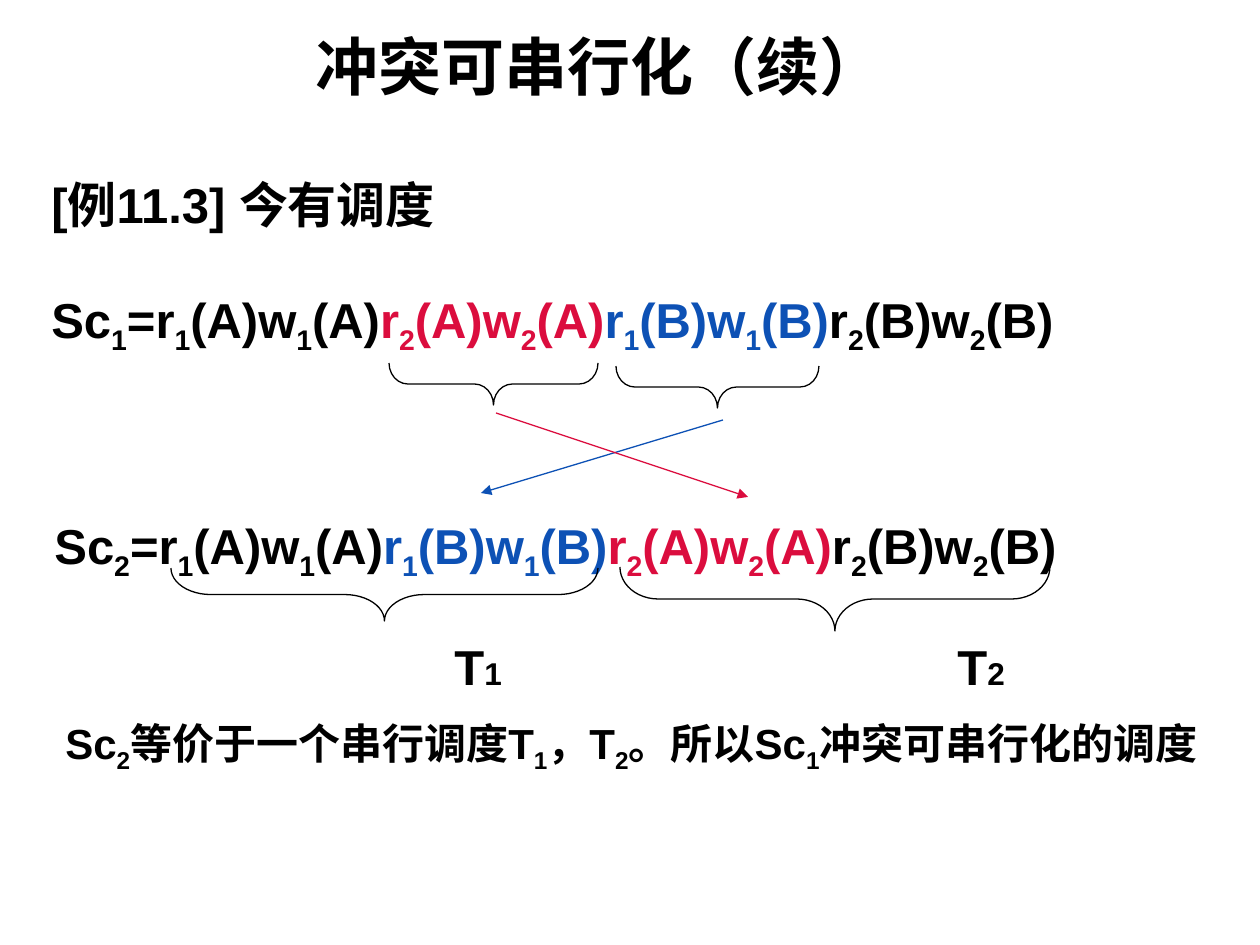
from lxml.etree import SubElement
from pptx import Presentation
from pptx.dml.color import RGBColor
from pptx.enum.shapes import MSO_CONNECTOR, MSO_SHAPE
from pptx.enum.text import MSO_ANCHOR, MSO_AUTO_SIZE, PP_ALIGN
from pptx.oxml.ns import qn
from pptx.util import Emu, Pt

STRAIGHT = MSO_CONNECTOR.STRAIGHT
BRACE = MSO_SHAPE.LEFT_BRACE
MIDDLE = MSO_ANCHOR.MIDDLE
FIXED = MSO_AUTO_SIZE.NONE
CENTER = PP_ALIGN.CENTER

COLORS = {"black": "000000", "red": "DB0D3E", "blue": "0D51B5"}
FONT = "Arial"
HANG = 48
HEAD = [("=r_1(A)w_1(A)", "black")]
RED = [("r_2(A)w_2(A)", "red")]
BLUE = [("r_1(B)w_1(B)", "blue")]
TAIL = [("r_2(B)w_2(B)", "black")]


def px(count):
    """Turn pixels into EMU."""
    return Emu(round(count * 914400 / 126))


def color(name):
    """Look up a named colour."""
    return RGBColor.from_string(COLORS[name])


def add_run(para, text, size, tint="black", sub=False):
    """Add one bold run, lowered if it is a subscript."""
    run = para.add_run()
    run.text = text
    font = run.font
    font.name, font.size, font.bold = FONT, Pt(size), True
    font.color.rgb = color(tint)
    if sub:
        run._r.get_or_add_rPr().set("baseline", "-25000")


def add_terms(para, terms, size):
    """Add coloured terms in which an underscore lowers the next character."""
    for text, tint in terms:
        first, *rest = text.split("_")
        add_run(para, first, size, tint)
        for part in rest:
            add_run(para, part[0], size, tint, True)
            if part[1:]:
                add_run(para, part[1:], size, tint)


def hang(para):
    """Give a paragraph a hanging indent."""
    props = para._p.get_or_add_pPr()
    props.set("marL", str(px(HANG)))
    props.set("indent", str(-px(HANG)))


def set_tabs(para, stops):
    """Set left tab stops on a paragraph."""
    tabs = SubElement(para._p.get_or_add_pPr(), qn("a:tabLst"))
    for stop in stops:
        SubElement(tabs, qn("a:tab"), pos=str(px(stop)), algn="l")


def add_box(slide, x, y, w, h):
    """Add a wrapping text box and return its frame."""
    frame = slide.shapes.add_textbox(px(x), px(y), px(w), px(h)).text_frame
    frame.word_wrap = True
    hang(frame.paragraphs[0])
    return frame


def add_brace(slide, x, y, w, h, curve):
    """Add a brace that opens upward and fills the given box."""
    left, top = x + (w - h) / 2, y + (h - w) / 2
    brace = slide.shapes.add_shape(BRACE, px(left), px(top), px(h), px(w))
    brace.rotation = 270
    brace.adjustments[0] = curve
    brace.shadow.inherit = False
    brace.fill.background()
    brace.line.color.rgb = color("black")
    brace.line.width = Pt(0.75)


def add_arrow(slide, x1, y1, x2, y2, tint):
    """Add a thin arrow from the first point to the second."""
    arrow = slide.shapes.add_connector(STRAIGHT, px(x1), px(y1), px(x2), px(y2))
    arrow.line.color.rgb = color(tint)
    arrow.line.width = Pt(0.75)
    SubElement(arrow.line._get_or_add_ln(), qn("a:tailEnd"), type="triangle")
    SubElement(arrow._element.spPr, qn("a:effectLst"))


def add_title(slide, x, y, w, h):
    """Place the slide title."""
    title = slide.shapes.title
    title.left, title.top, title.width, title.height = map(px, (x, y, w, h))
    frame = title.text_frame
    frame.auto_size, frame.vertical_anchor = FIXED, MIDDLE
    para = frame.paragraphs[0]
    para.alignment = CENTER
    add_run(para, "冲突可串行化（续）", 36)


def add_first(slide, x, y, w, h):
    """Place the example heading, the first schedule and its braces."""
    frame = add_box(slide, x, y, w, h)
    add_run(frame.paragraphs[0], "[例11.3] 今有调度", 28)
    para = frame.add_paragraph()
    hang(para)
    para.space_before = Pt(32)
    add_terms(para, [("Sc_1", "black")] + HEAD + RED + BLUE + TAIL, 28)
    add_brace(slide, x + 350, y + 195, 209, 42, 0.45)
    add_brace(slide, x + 577, y + 198, 203, 42, 0.45)


def add_swap(slide, x, y):
    """Place the crossing arrows between the schedules."""
    add_arrow(slide, x + 242, y + 7, x, y + 80, "blue")
    add_arrow(slide, x + 15, y, x + 267, y + 84, "red")


def add_second(slide, x, y, w, h):
    """Place the second schedule, its braces and transaction names."""
    frame = add_box(slide, x, y, w, h)
    para = frame.paragraphs[0]
    para.line_spacing = 0.9
    add_terms(para, [("Sc_2", "black")] + HEAD + BLUE + RED + TAIL, 28)
    para = frame.add_paragraph()
    para.line_spacing = 0.9
    para.space_before = Pt(38)
    set_tabs(para, (400, 903))
    for mark in "12":
        add_run(para, "\tT", 28)
        add_run(para, mark, 18)
    add_brace(slide, x + 129, y + 58, 427, 53, 0.75)
    add_brace(slide, x + 578, y + 57, 430, 64, 0.6)


def add_result(slide, x, y, w, h):
    """Place the conclusion."""
    para = add_box(slide, x, y, w, h).paragraphs[0]
    text = "Sc_2等价于一个串行调度T_1，T_2。所以Sc_1冲突可串行化的调度"
    add_terms(para, [(text, "black")], 24)


def main():
    """Build and save the slide."""
    deck = Presentation()
    deck.slide_width, deck.slide_height = px(1260), px(945)
    slide = deck.slides.add_slide(deck.slide_layouts[5])
    add_title(slide, 32, 6, 1135, 118)
    add_first(slide, 39, 168, 1166, 179)
    add_swap(slide, 481, 413)
    add_second(slide, 42, 510, 1218, 226)
    add_result(slide, 53, 711, 1183, 180)
    deck.save("out.pptx")


if __name__ == "__main__":
    main()
